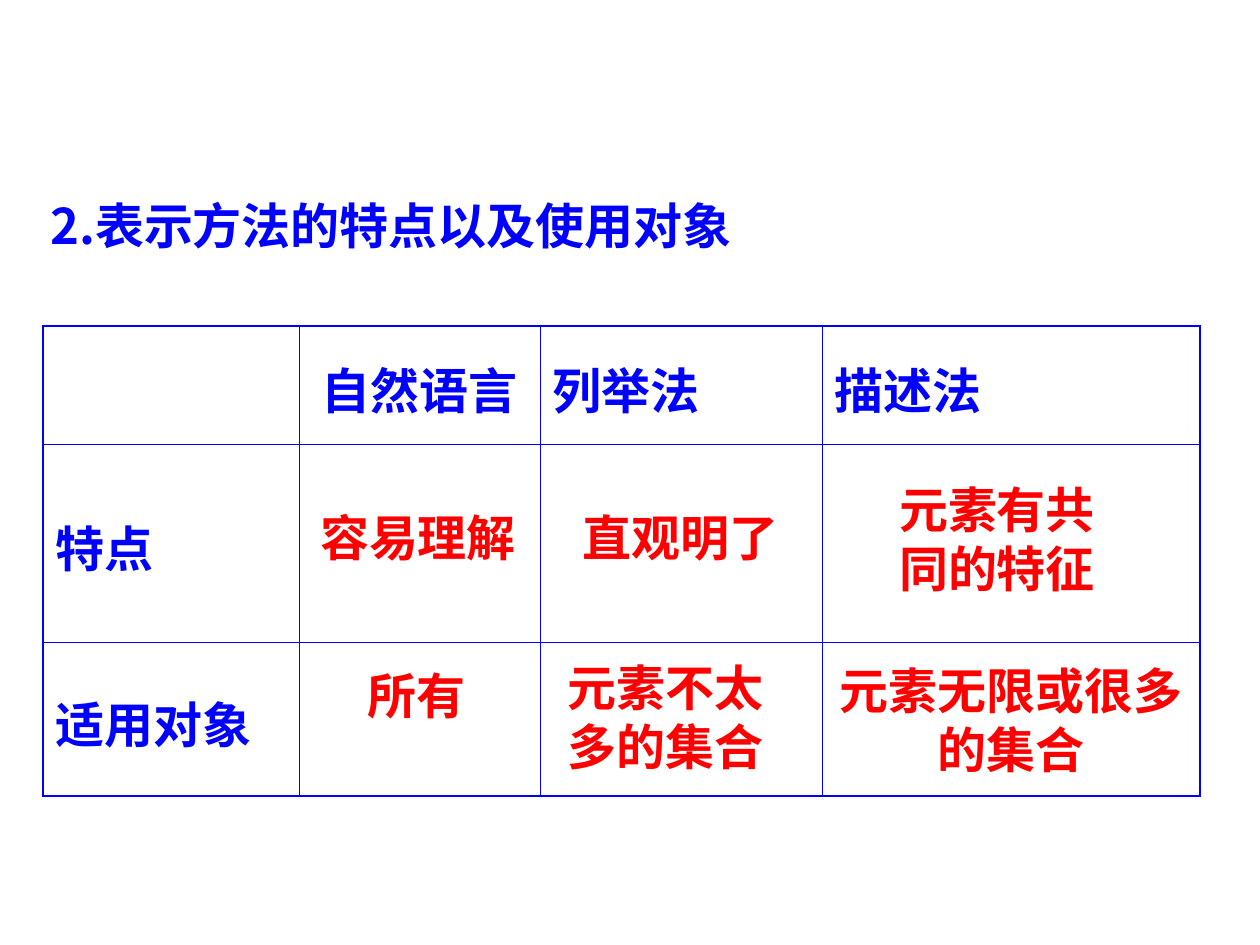
"""Build a slide comparing three ways of describing a set."""
from lxml import etree
from pptx import Presentation
from pptx.dml.color import RGBColor
from pptx.enum.text import MSO_ANCHOR, MSO_AUTO_SIZE, PP_ALIGN
from pptx.oxml.ns import qn
from pptx.util import Pt

CENTER, LEFT = PP_ALIGN.CENTER, PP_ALIGN.LEFT
MIDDLE, FIT_SHAPE = MSO_ANCHOR.MIDDLE, MSO_AUTO_SIZE.SHAPE_TO_FIT_TEXT
PX = 914400 // 126
BLUE, RED = "0000FF", "FF0000"
CHINESE, SANS, SERIF = "Noto Sans CJK SC", "Arial", "Times New Roman"
INNER_LINE, OUTER_LINE = 0.45, 1.08

TITLE = ("2.表示方法的特点以及使用对象", 38, 160, 810, 101)
TABLE_LEFT, TABLE_TOP = 43, 326
COLUMN_WIDTHS = [256, 241, 282, 378]
ROW_HEIGHTS = [118, 198, 154]
ROWS = [
    ["", "自然语言", "列举法", "描述法"],
    ["特点", "", "", ""],
    ["适用对象", "", "", ""],
]
ANSWERS = [
    ("容易理解", 290, 501, 256, 72, SANS),
    ("直观明了", 549, 501, 263, 72, SERIF),
    ("元素有共同的特征", 867, 473, 260, 131, SERIF),
    ("所有", 292, 659, 249, 72, SERIF),
    ("元素不太多的集合", 547, 651, 237, 131, SERIF),
    ("元素无限或很多的集合", 825, 654, 372, 131, SERIF),
]


def rgb(value):
    """Turn a hex string into a colour."""
    return RGBColor.from_string(value)


def write(text_frame, text, color, font_name, alignment):
    """Set one bold paragraph and return it."""
    text_frame.text = text
    paragraph = text_frame.paragraphs[0]
    paragraph.alignment = alignment
    for run in paragraph.runs:
        run.font.size = Pt(28)
        run.font.bold = True
        run.font.color.rgb = rgb(color)
        run.font.name = font_name
        properties = run._r.get_or_add_rPr()
        etree.SubElement(properties, qn("a:ea"), typeface=CHINESE)
    return paragraph


def add_text(slide, text, left, top, width, height, font_name, color, alignment):
    """Add a wrapping text box and return its paragraph."""
    box = slide.shapes.add_textbox(left * PX, top * PX, width * PX, height * PX)
    box.text_frame.word_wrap = True
    box.text_frame.auto_size = FIT_SHAPE
    return write(box.text_frame, text, color, font_name, alignment)


def set_borders(cell, widths):
    """Draw the four blue borders of a cell."""
    properties = cell._tc.get_or_add_tcPr()
    for side, points in widths.items():
        line = etree.SubElement(properties, qn(f"a:ln{side}"), w=str(Pt(points)))
        fill = etree.SubElement(line, qn("a:solidFill"))
        etree.SubElement(fill, qn("a:srgbClr"), val=BLUE)


def add_comparison(slide):
    """Add the table with a heavier outer frame."""
    row_count, column_count = len(ROWS), len(COLUMN_WIDTHS)
    table = slide.shapes.add_table(
        row_count, column_count, TABLE_LEFT * PX, TABLE_TOP * PX,
        sum(COLUMN_WIDTHS) * PX, sum(ROW_HEIGHTS) * PX).table
    table.first_row = table.horz_banding = False
    for column, width in zip(table.columns, COLUMN_WIDTHS):
        column.width = width * PX
    for row, height in zip(table.rows, ROW_HEIGHTS):
        row.height = height * PX
    for row_index, texts in enumerate(ROWS):
        for column_index, text in enumerate(texts):
            cell = table.cell(row_index, column_index)
            on_frame = {
                "L": column_index == 0,
                "R": column_index == column_count - 1,
                "T": row_index == 0,
                "B": row_index == row_count - 1,
            }
            set_borders(cell, {side: OUTER_LINE if outer else INNER_LINE
                               for side, outer in on_frame.items()})
            cell.fill.background()
            cell.vertical_anchor = MIDDLE
            cell.margin_top = 12 * PX
            if text:
                alignment = CENTER if column_index == 1 else LEFT
                write(cell.text_frame, text, BLUE, CHINESE, alignment)


def main():
    """Build and save the presentation."""
    presentation = Presentation()
    presentation.slide_width, presentation.slide_height = 1260 * PX, 945 * PX
    slide = presentation.slides.add_slide(presentation.slide_layouts[6])
    add_comparison(slide)
    for answer in ANSWERS:
        add_text(slide, *answer, RED, CENTER)
    add_text(slide, *TITLE, CHINESE, BLUE, LEFT).line_spacing = 1.5
    presentation.save("out.pptx")


if __name__ == "__main__":
    main()
